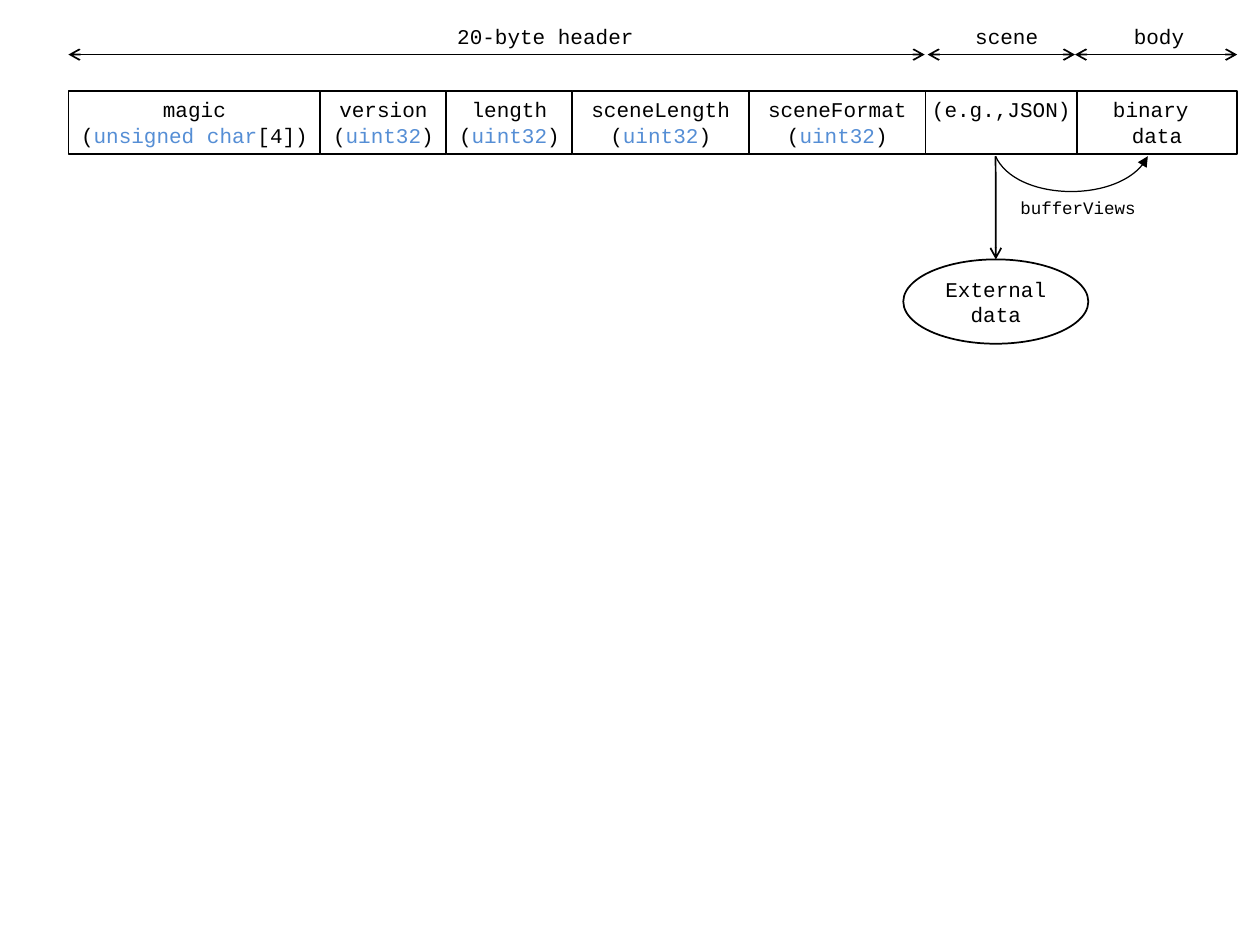
from lxml import etree
from pptx import Presentation
from pptx import util as u
from pptx.dml.color import RGBColor
from pptx.enum import shapes, text
from pptx.oxml.ns import qn

BLACK, BLUE, WHITE = "000000", "558ED5", "FFFFFF"


def color(value):
    return RGBColor.from_string(value)


class Diagram:
    font = "Courier New"
    line_width = 1

    def __init__(self, prs):
        self.s = prs.slides.add_slide(prs.slide_layouts[6])

    def set_text(self, sp, lines, size=12, wrap=False, anchor=text.MSO_ANCHOR.TOP):
        tf = sp.text_frame
        frame = {"word_wrap": wrap, "vertical_anchor": anchor}
        for name, value in frame.items():
            setattr(tf, name, value)
        for i, line in enumerate(lines):
            p = tf.paragraphs[0] if i == 0 else tf.add_paragraph()
            p.alignment = text.PP_ALIGN.CENTER
            for words, tint in line:
                r = p.add_run()
                r.text = words
                for name, value in {"name": self.font, "size": u.Pt(size)}.items():
                    setattr(r.font, name, value)
                r.font.color.rgb = color(tint)

    def outline(self, sp, width=line_width, **ends):
        sp.line.color.rgb = color(BLACK)
        sp.line.width = u.Pt(width)
        ln = sp._element.spPr.find(qn("a:ln"))
        for end in ("headEnd", "tailEnd"):
            if end in ends:
                etree.SubElement(ln, qn(f"a:{end}"), type=ends[end])

    def shape(self, kind, left, top, width, height, lines, fill=None, **style):
        sp = self.s.shapes.add_shape(
            kind, u.Cm(left), u.Cm(top), u.Cm(width), u.Cm(height))
        sp.shadow.inherit = False
        if fill:
            sp.fill.solid()
            sp.fill.fore_color.rgb = color(fill)
        else:
            sp.fill.background()
        self.outline(sp)
        self.set_text(sp, lines, **style)
        return sp

    def label(self, left, top, width, height, words, size=12):
        sp = self.s.shapes.add_textbox(
            u.Cm(left), u.Cm(top), u.Cm(width), u.Cm(height))
        self.set_text(sp, [[(words, BLACK)]], size)

    def arrow(self, x1, y1, x2, y2, target=None, **ends):
        c = self.s.shapes.add_connector(
            shapes.MSO_CONNECTOR.STRAIGHT, u.Cm(x1), u.Cm(y1), u.Cm(x2), u.Cm(y2))
        if target is not None:
            c.end_connect(target, 0)
        self.outline(c, tailEnd="arrow", **ends)
        etree.SubElement(c._element.spPr, qn("a:effectLst"))

    def curve(self, start, *points):
        fb = self.s.shapes.build_freeform(u.Cm(start[0]), u.Cm(start[1]))
        fb.add_line_segments([(u.Cm(x), u.Cm(y)) for x, y in points], close=False)
        sp = fb.convert_to_shape()
        sp.shadow.inherit = False
        sp.fill.background()
        self.outline(sp, 0.71, tailEnd="triangle")
        steps = list(sp._element.iter(qn("a:lnTo")))
        bezier = etree.SubElement(steps[0].getparent(), qn("a:cubicBezTo"))
        for step in steps:
            bezier.append(step[0])
            step.getparent().remove(step)


def typed(name, kind, suffix=")"):
    return [[(name, BLACK)], [("(", BLACK), (kind, BLUE), (suffix, BLACK)]]


def main():
    prs = Presentation()
    prs.slide_width, prs.slide_height = u.Cm(25.4), u.Cm(19.05)
    d = Diagram(prs)

    fields = [
        (5.08, typed("magic", "unsigned char", "[4])")),
        (2.54, typed("version", "uint32")),
        (2.54, typed("length", "uint32")),
        (3.56, typed("sceneLength", "uint32")),
        (3.56, typed("sceneFormat", "uint32")),
        (3.05, [[("(e.g.,JSON)", BLACK)]]),
        (3.23, [[("binary ", BLACK)], [("data", BLACK)]]),
    ]
    left = 1.38
    for width, lines in fields:
        d.shape(shapes.MSO_SHAPE.RECTANGLE, left, 1.83, width, 1.27, lines)
        left += width

    spans = [
        ("20-byte header", 1.38, 18.64, 8.71, 4.57),
        ("scene", 18.7, 21.67, 19.28, 2.03),
        ("body", 21.67, 24.94, 22.35, 2.03),
    ]
    for words, start, end, label_left, label_width in spans:
        d.arrow(start, 1.1, end, 1.1, headEnd="arrow")
        d.label(label_left, 0.36, label_width, 0.76, words)

    external = d.shape(
        shapes.MSO_SHAPE.OVAL, 18.21, 5.23, 3.73, 1.7,
        [[("External data", BLACK)]], fill=WHITE, wrap=True,
        anchor=text.MSO_ANCHOR.MIDDLE)
    d.arrow(20.07, 3.15, 20.07, 5.23, target=external)
    d.curve((20.07, 3.15), (20.47, 4.04), (22.68, 4.11), (23.14, 3.15))
    d.label(20.32, 3.84, 2.82, 0.66, "bufferViews", 10)

    prs.save("out.pptx")


if __name__ == "__main__":
    main()
